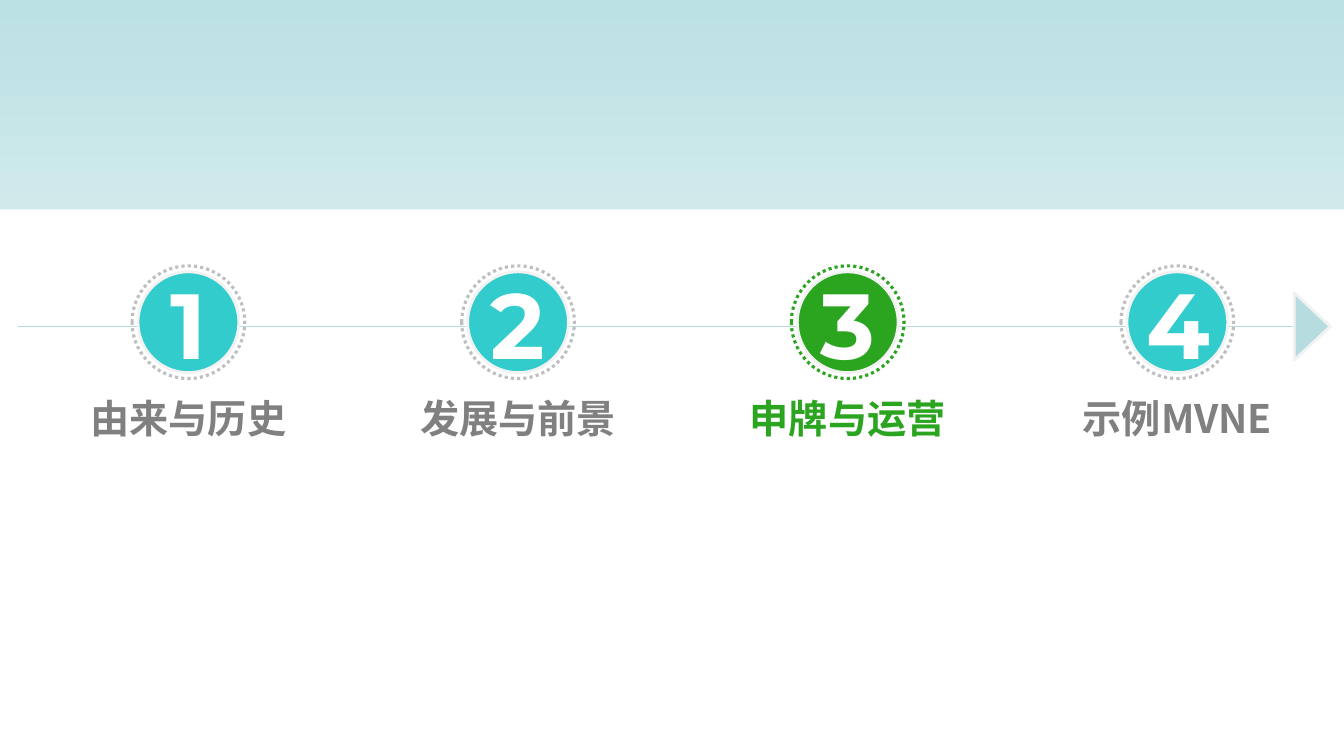
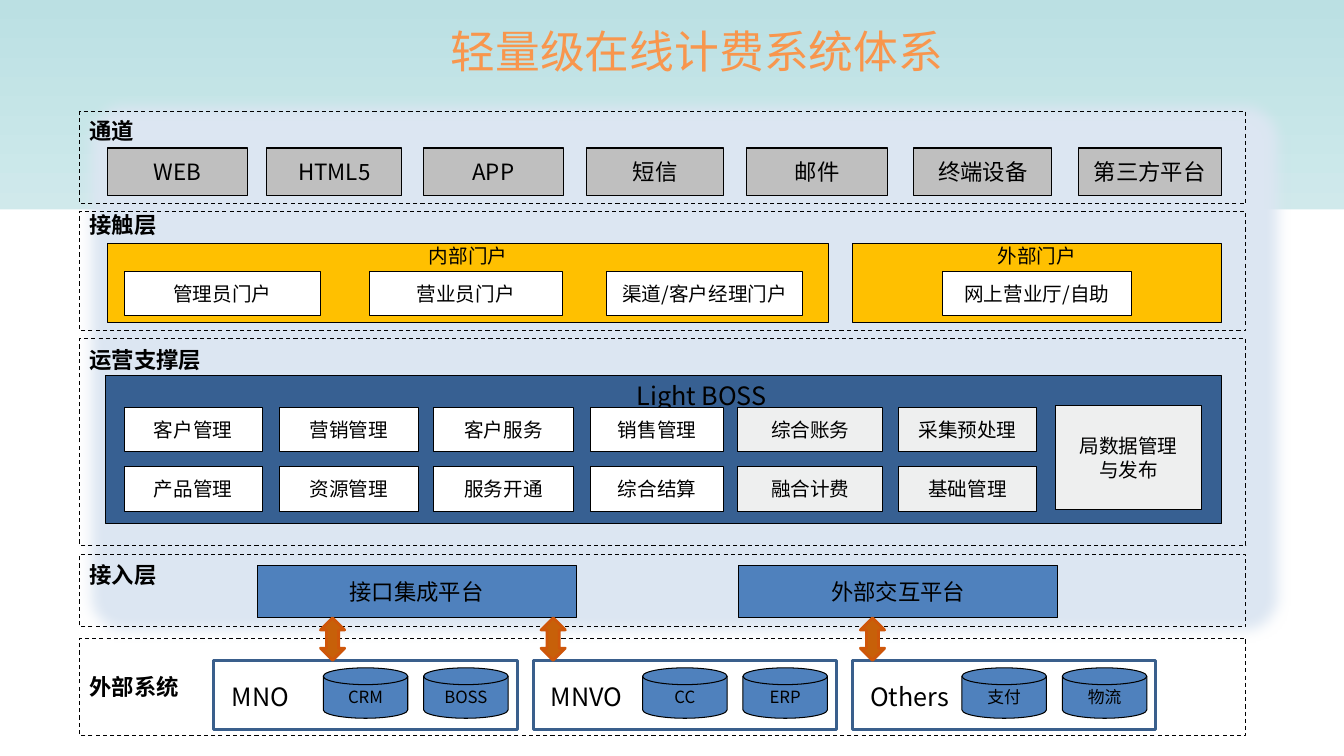
from collections import namedtuple

from lxml.etree import SubElement
from pptx import Presentation
from pptx.dml.color import RGBColor
from pptx.enum.dml import MSO_LINE as Dash
from pptx.enum.shapes import MSO_CONNECTOR as Link, MSO_SHAPE as Shape
from pptx.enum.text import MSO_ANCHOR as Anchor, PP_ALIGN as Align
from pptx.oxml.ns import qn
from pptx.util import Cm, Pt

BLACK = RGBColor(0x00, 0x00, 0x00)
WHITE = RGBColor(0xFF, 0xFF, 0xFF)
SKY = RGBColor(0xBB, 0xE0, 0xE3)
TRACK = RGBColor(0xB6, 0xDC, 0xDF)
TEAL = RGBColor(0x33, 0xCC, 0xCC)
GREEN = RGBColor(0x2B, 0xA5, 0x20)
EDGE = RGBColor(0xF2, 0xF2, 0xF2)
SILVER = RGBColor(0xBF, 0xBF, 0xBF)
GRAY = RGBColor(0x80, 0x80, 0x80)
PALE = RGBColor(0xEE, 0xEF, 0xEF)
ORANGE = RGBColor(0xF8, 0x96, 0x4D)
GOLD = RGBColor(0xFF, 0xC0, 0x00)
MIST = RGBColor(0xDC, 0xE6, 0xF2)
NAVY = RGBColor(0x37, 0x60, 0x92)
NAVY_EDGE = RGBColor(0x3A, 0x5F, 0x8C)
BLUE = RGBColor(0x4F, 0x81, 0xBD)
RUST = RGBColor(0xC7, 0x60, 0x09)
RUST_EDGE = RGBColor(0xCE, 0x56, 0x0A)

TEXT_FONT = "Noto Sans CJK SC"
DIGIT_FONT = "Montserrat"
SLIDE_WIDTH, SLIDE_HEIGHT = 33.88, 19.05

STEPS = ["由来与历史", "发展与前景", "申牌与运营", "示例MVNE"]
CURRENT_STEP = 3
STEP_PITCH = 8.31

CHANNELS = [("WEB", 0.71, 3.51), ("HTML5", 4.72, 3.4), ("APP", 8.66, 3.53),
            ("短信", 12.78, 3.45), ("邮件", 16.81, 3.56),
            ("终端设备", 21.03, 3.48), ("第三方平台", 25.17, 3.61)]
PORTALS = [("内部门户", 0.71, 18.16, [("管理员门户", 0.41, 4.95),
                                  ("营业员门户", 6.6, 4.85),
                                  ("渠道/客户经理门户", 12.57, 4.95)]),
           ("外部门户", 19.48, 9.3, [("网上营业厅/自助", 2.26, 4.78)])]
MODULES = [(0.46, 3.48, WHITE, ("客户管理", "产品管理")),
           (4.37, 3.51, WHITE, ("营销管理", "资源管理")),
           (8.26, 3.53, WHITE, ("客户服务", "服务开通")),
           (12.22, 3.35, WHITE, ("销售管理", "综合结算")),
           (15.93, 3.66, PALE, ("综合账务", "融合计费")),
           (19.99, 3.46, PALE, ("采集预处理", "基础管理"))]
PLATFORMS = [("接口集成平台", 4.47), ("外部交互平台", 16.61)]
PARTNERS = [("MNO", 2.69, ("CRM", "BOSS")), ("MNVO", 0.2, ("CC", "ERP")),
            ("Others", 0.2, ("支付", "物流"))]


class Box(namedtuple("Box", "left top width height")):
    """A rectangle in centimetres."""

    def inner(self, dx, dy, width, height):
        """Return a box offset from this one's top left corner."""
        return Box(self.left + dx, self.top + dy, width, height)

    def lengths(self):
        """Return the four sides as slide lengths."""
        return [Cm(side) for side in self]


def write(frame, text, ink, align=Align.CENTER, **font):
    """Fill a text frame and format every run of it."""
    frame.text = text
    formats = {"name": TEXT_FONT, "bold": False, **font}
    for paragraph in frame.paragraphs:
        paragraph.alignment = align
        for run in paragraph.runs:
            for key, value in formats.items():
                setattr(run.font, key, value)
            run.font.color.rgb = ink
            SubElement(run.font._element, qn("a:ea"), typeface=formats["name"])


def add_text(slide, box, text, ink=BLACK, wrap=True, **style):
    """Add a text box."""
    frame = slide.shapes.add_textbox(*box.lengths()).text_frame
    frame.word_wrap = wrap
    write(frame, text, ink, **style)


def add_figure(slide, box, kind=Shape.RECTANGLE, fill=None, edge=BLACK,
               weight=0.75, dash=None, text="", size=14):
    """Add a flat preset shape, with centred text if there is any."""
    figure = slide.shapes.add_shape(kind, *box.lengths())
    figure.shadow.inherit = False
    if fill is None:
        figure.fill.background()
    else:
        figure.fill.solid()
        figure.fill.fore_color.rgb = fill
    if edge is None:
        figure.line.fill.background()
    else:
        figure.line.color.rgb = edge
        for key, value in {"width": Pt(weight), "dash_style": dash}.items():
            setattr(figure.line, key, value)
    if text:
        figure.text_frame.word_wrap = False
        figure.text_frame.vertical_anchor = Anchor.MIDDLE
        write(figure.text_frame, text, BLACK, size=Pt(size))
    return figure


def set_backdrop(deck, slide):
    """Put the gradient band and the white ground on the slide master."""
    band = add_figure(slide, Box(0, 0, SLIDE_WIDTH, 16.51), edge=None)
    band.fill.gradient()
    band.fill.gradient_angle = 270
    for stop, (colour, position) in zip(band.fill.gradient_stops,
                                        [(SKY, 0), (WHITE, 1)]):
        stop.color.rgb = colour
        stop.position = position
    ground = add_figure(slide, Box(0, 5.28, SLIDE_WIDTH, SLIDE_HEIGHT - 5.28),
                        fill=WHITE, edge=None)
    tree = deck.slide_master.shapes.element
    for index, part in enumerate((band, ground), start=2):
        tree.insert(index, part.element)


def add_track(slide, box):
    """Draw the timeline with its arrowhead."""
    track = slide.shapes.add_connector(
        Link.STRAIGHT, Cm(box.left), Cm(box.top),
        Cm(box.left + box.width), Cm(box.top))
    track.line.color.rgb = TRACK
    track.line.width = Pt(1)
    SubElement(track.line._get_or_add_ln(), qn("a:tailEnd"), type="triangle")
    SubElement(track.element.spPr, qn("a:effectLst"))


def add_step(slide, box, number, label):
    """Draw a numbered disc in a dotted ring, with its label below."""
    current = number == CURRENT_STEP
    middle = box.width / 2
    add_figure(slide, box.inner(middle - 1.27, 0.15, 2.54, 2.54), Shape.OVAL,
               GREEN if current else TEAL, EDGE, 2)
    add_figure(slide, box.inner(middle - 1.42, 0, 2.84, 2.84), Shape.OVAL,
               edge=GREEN if current else SILVER, weight=2.25,
               dash=Dash.ROUND_DOT)
    add_text(slide, box.inner(middle - 1.04, -0.1, 2.08, 3.07), str(number),
             WHITE, wrap=False, name=DIGIT_FONT, size=Pt(66), bold=True)
    add_text(slide, box.inner(0, 3.1, box.width, 1.45), label,
             GREEN if current else GRAY, size=Pt(28), bold=True)


def build_agenda(slide):
    """Build the agenda slide."""
    add_track(slide, Box(0.46, 8.23, 33.02, 0))
    head = add_figure(slide, Box(32.23, 7.77, 1.7, 0.91),
                      Shape.ISOSCELES_TRIANGLE, TRACK, EDGE, 2)
    head.rotation = 90
    first = Box(0.94, 6.7, 7.62, 4.55)
    for index, label in enumerate(STEPS):
        add_step(slide, first.inner(index * STEP_PITCH, 0, *first[2:]),
                 index + 1, label)


def add_title(slide, box, text):
    """Place and format the title placeholder."""
    title = slide.shapes.title
    for side, length in zip(box._fields, box.lengths()):
        setattr(title, side, length)
    title.text_frame.vertical_anchor = Anchor.MIDDLE
    write(title.text_frame, text, ORANGE, size=Pt(32))


def add_ground(slide, box):
    """Draw the soft-edged panel behind the layers."""
    panel = add_figure(slide, box, Shape.ROUNDED_RECTANGLE, MIST, None)
    panel.adjustments[0] = 0.065
    effects = panel.element.spPr.find(qn("a:effectLst"))
    SubElement(effects, qn("a:softEdge"), rad=str(Pt(10)))


def add_layer(slide, box, label, label_dy):
    """Draw a dashed layer frame with its bold label."""
    add_figure(slide, box, dash=Dash.DASH)
    add_text(slide, box.inner(0, label_dy, 4.6, 0.94), label,
             align=Align.LEFT, size=Pt(16), bold=True)


def add_channels(slide, box):
    """Fill the channel layer."""
    for name, left, width in CHANNELS:
        add_figure(slide, box.inner(left, 0.91, width, 1.19), fill=SILVER,
                   text=name, size=16)


def add_portals(slide, box):
    """Fill the contact layer with its portal panels."""
    for name, left, width, doors in PORTALS:
        panel = box.inner(left, 0.81, width, 1.98)
        add_figure(slide, panel, fill=GOLD)
        add_text(slide, panel.inner(width / 2 - 1.74, -0.13, 3.48, 0.86),
                 name, size=Pt(14))
        for door, door_left, door_width in doors:
            add_figure(slide, panel.inner(door_left, 0.7, door_width, 1.12),
                       fill=WHITE, text=door)


def add_support(slide, box):
    """Fill the operation support layer with its modules."""
    panel = box.inner(0.66, 0.94, 28.12, 3.73)
    add_figure(slide, panel, fill=NAVY)
    add_text(slide, panel.inner(10.8, 0, 8.43, 1.02), "Light BOSS",
             size=Pt(18))
    for left, width, fill, names in MODULES:
        for row, name in enumerate(names):
            add_figure(slide, panel.inner(left, 0.79 + row * 1.5, width, 1.12),
                       fill=fill, text=name)
    add_figure(slide, panel.inner(23.95, 0.74, 3.66, 2.64), fill=PALE,
               text="局数据管理\n与发布")


def add_access(slide, box):
    """Fill the access layer."""
    for name, left in PLATFORMS:
        add_figure(slide, box.inner(left, 0.28, 8.05, 1.32), fill=BLUE,
                   text=name, size=16)


def add_partners(slide, box):
    """Fill the external layer with systems, stores and arrows."""
    for index, (name, arrow_dx, stores) in enumerate(PARTNERS):
        panel = box.inner(3.38 + index * 8.05, 0.56, 7.65, 1.75)
        add_figure(slide, panel, fill=WHITE, edge=NAVY_EDGE, weight=2)
        add_text(slide, panel.inner(0.2, 0.41, 2.6, 1.02), name,
                 align=Align.LEFT, size=Pt(18))
        for place, store in enumerate(stores):
            add_figure(slide, panel.inner(2.76 + place * 2.53, 0.19, 2.13, 1.27),
                       Shape.FLOWCHART_MAGNETIC_DISK, BLUE, text=store, size=12)
        add_figure(slide, panel.inner(arrow_dx, -1.07, 0.61, 1.07),
                   Shape.UP_DOWN_ARROW, RUST, RUST_EDGE, 2)


LAYERS = [("通道", 2.82, 2.31, 0, add_channels),
          ("接触层", 5.33, 3, -0.13, add_portals),
          ("运营支撑层", 8.53, 5.21, 0.08, add_support),
          ("接入层", 13.97, 1.83, 0.05, add_access),
          ("外部系统", 16.08, 2.46, 0.76, add_partners)]


def build_architecture(slide):
    """Build the layered architecture slide."""
    add_title(slide, Box(6.22, 0, 22.71, 2.54), "轻量级在线计费系统体系")
    add_ground(slide, Box(2.01, 2.39, 30.53, 13.79))
    for label, top, height, label_dy, fill_layer in LAYERS:
        frame = Box(2.01, top, 29.4, height)
        add_layer(slide, frame, label, label_dy)
        fill_layer(slide, frame)


def main():
    """Build and save the deck."""
    deck = Presentation()
    deck.slide_width, deck.slide_height = Cm(SLIDE_WIDTH), Cm(SLIDE_HEIGHT)
    title_only, blank = deck.slide_layouts[5], deck.slide_layouts[6]
    agenda = deck.slides.add_slide(blank)
    set_backdrop(deck, agenda)
    build_agenda(agenda)
    build_architecture(deck.slides.add_slide(title_only))
    deck.save("out.pptx")


if __name__ == "__main__":
    main()
